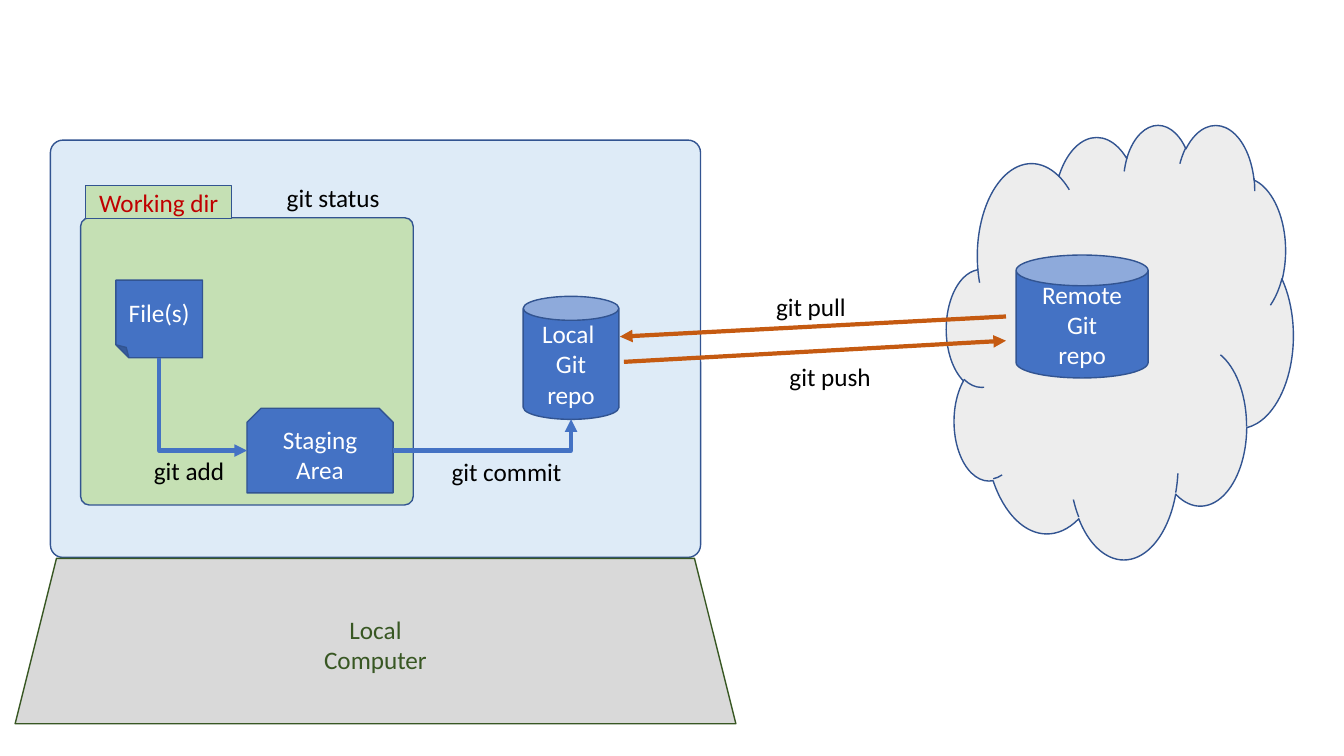
from lxml import etree
from pptx import Presentation
from pptx.dml.color import RGBColor
from pptx.enum.shapes import MSO_CONNECTOR as CXN, MSO_SHAPE as SHP
from pptx.enum.text import MSO_ANCHOR as ANC, MSO_AUTO_SIZE as FIT, PP_ALIGN as AL
from pptx.oxml.ns import qn
from pptx.util import Inches, Pt

BLACK = RGBColor(0x00, 0x00, 0x00)
WHITE = RGBColor(0xFF, 0xFF, 0xFF)
RED = RGBColor(0xC0, 0x00, 0x00)
BLUE = RGBColor(0x44, 0x72, 0xC4)
NAVY = RGBColor(0x32, 0x54, 0x91)
PALE_BLUE = RGBColor(0xDE, 0xEB, 0xF7)
GREEN = RGBColor(0xC5, 0xE0, 0xB4)
DARK_GREEN = RGBColor(0x38, 0x57, 0x23)
PALE_GREY = RGBColor(0xED, 0xED, 0xED)
GREY = RGBColor(0xD9, 0xD9, 0xD9)
ORANGE = RGBColor(0xC5, 0x5A, 0x11)

COLS, ROWS = 133.33, 75
CELL = Inches(0.1)
FONT = {"name": "Calibri", "size": Pt(18)}
CENTERED = {"word_wrap": True, "vertical_anchor": ANC.MIDDLE}
LABEL = {"word_wrap": True, "auto_size": FIT.SHAPE_TO_FIT_TEXT}
LABEL_SIZE = (16.9, 4)


def grid(*cells):
    return [round(n * CELL) for n in cells]


def apply(obj, fmt):
    for name, value in fmt.items():
        setattr(obj, name, value)


def write(tf, text, color, fmt):
    tf.text = text
    apply(tf, fmt)
    for p in tf.paragraphs:
        p.alignment = AL.CENTER
        for r in p.runs:
            apply(r.font, FONT)
            r.font.color.rgb = color


def add_box(s, kind, at, fill=BLUE, text="", color=WHITE, line=NAVY, adj=None):
    sp = s.shapes.add_shape(kind, *grid(*at))
    sp.shadow.inherit = False
    sp.fill.solid()
    sp.fill.fore_color.rgb = fill
    sp.line.color.rgb = line
    sp.line.width = Pt(1)
    if adj is not None:
        sp.adjustments[0] = adj
    if text:
        write(sp.text_frame, text, color, CENTERED)
    return sp


def add_label(s, text, left, top):
    sp = s.shapes.add_textbox(*grid(left, top, *LABEL_SIZE))
    write(sp.text_frame, text, BLACK, LABEL)


def add_arrow(s, start, end, color, kind=CXN.STRAIGHT):
    c = s.shapes.add_connector(kind, *start, *end)
    c.line.color.rgb = color
    c.line.width = Pt(3)
    etree.SubElement(c.line._get_or_add_ln(), qn("a:tailEnd"), type="triangle")
    etree.SubElement(c._element.spPr, qn("a:effectLst"))
    return c


def add_elbow(s, start, end, source, target, down_first=False):
    c = add_arrow(s, start, end, BLUE, CXN.ELBOW)
    c.begin_connect(*source)
    c.end_connect(*target)
    ends = ("begin_x", "begin_y", "end_x", "end_y")
    apply(c, dict(zip(ends, (*start, *end))))
    spPr = c._element.spPr
    spPr.find(qn("a:prstGeom")).set("prst", "bentConnector2")
    if down_first:
        w, h = c.width, c.height
        apply(c, {"left": c.left + (w - h) // 2, "top": c.top + (h - w) // 2,
                  "width": h, "height": w})
        xfrm = spPr.find(qn("a:xfrm"))
        xfrm.set("rot", "16200000")
        xfrm.set("flipH", "1")


def center_x(sp):
    return sp.left + sp.width // 2


def center_y(sp):
    return sp.top + sp.height // 2


def main():
    prs = Presentation()
    prs.slide_width, prs.slide_height = grid(COLS, ROWS)
    s = prs.slides.add_slide(prs.slide_layouts[6])

    add_box(s, SHP.CLOUD, (93.9, 12.3, 34.4, 43.1), PALE_GREY)
    add_box(s, SHP.ROUNDED_RECTANGLE, (5, 13.9, 64.5, 41.4), PALE_BLUE, adj=0.03)
    add_box(s, SHP.ROUNDED_RECTANGLE, (8, 21.6, 33, 28.5), GREEN, adj=0.03)
    add_box(s, SHP.RECTANGLE, (8.5, 18.4, 14.5, 3.3), GREEN, "Working dir", RED)

    for text, left, top in (("git pull", 72, 28.4), ("git status", 24.6, 17.6),
                            ("git add", 10.3, 44.7), ("git commit", 41.8, 44.8),
                            ("git push", 73.9, 35.4)):
        add_label(s, text, left, top)

    local = add_box(s, SHP.CAN, (51.9, 29.4, 9.5, 12.2), text="Local \nGit\nrepo")
    files = add_box(s, SHP.FOLDED_CORNER, (11.5, 27.8, 8.6, 7.7), text="File(s)")
    files._element.spPr.find(qn("a:xfrm")).set("flipH", "1")
    add_box(s, SHP.CAN, (100.8, 25.3, 13.1, 12.2), text="Remote\nGit\nrepo")
    staging = add_box(s, SHP.SNIP_2_SAME_RECTANGLE, (24.5, 40.5, 14.5, 8.4),
                      text="Staging\nArea")
    add_box(s, SHP.TRAPEZOID, (1.5, 55.4, 71.5, 16.4), GREY, "Local\nComputer",
            DARK_GREEN, DARK_GREEN)

    add_elbow(s, (center_x(files), files.top + files.height),
              (staging.left, center_y(staging)), (files, 2), (staging, 2), True)
    add_elbow(s, (staging.left + staging.width, center_y(staging)),
              (center_x(local), local.top + local.height), (staging, 0), (local, 3))
    add_arrow(s, grid(99.8, 31.4), grid(61.5, 33.4), ORANGE)
    add_arrow(s, grid(61.9, 35.9), grid(99.8, 33.8), ORANGE)

    prs.save("out.pptx")


if __name__ == "__main__":
    main()
